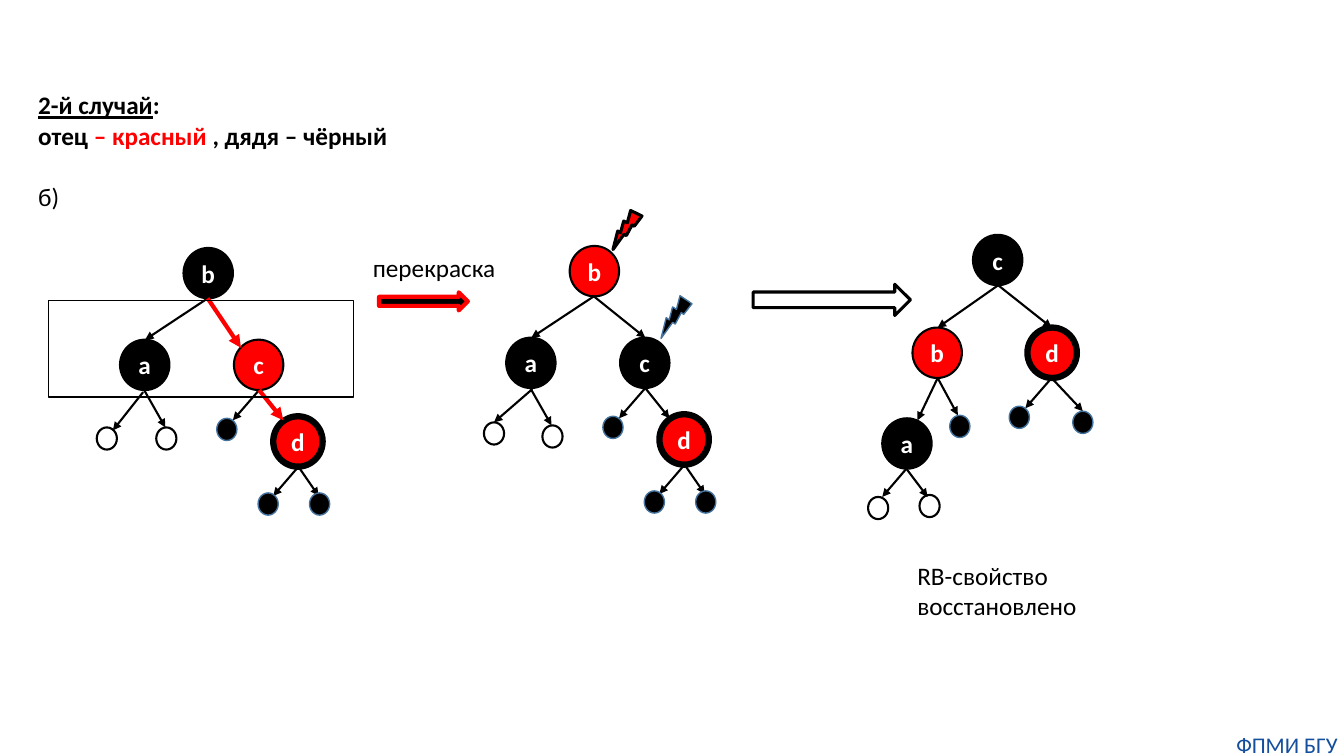
from lxml import etree
from pptx import Presentation
from pptx.dml.color import RGBColor
from pptx.enum import shapes, text
from pptx.oxml import ns
from pptx.util import Inches, Pt

BLACK = RGBColor(0x00, 0x00, 0x00)
WHITE = RGBColor(0xFF, 0xFF, 0xFF)
RED = RGBColor(0xFF, 0x00, 0x00)
STEEL = RGBColor(0x43, 0x73, 0x9E)
NAVY = RGBColor(0x14, 0x4E, 0x9D)
SHAPE = shapes.MSO_SHAPE
ALIGN = text.PP_ALIGN

NODE_WIDTH, NODE_HEIGHT = 0.49, 0.5
LEAF_WIDTH, LEAF_HEIGHT = 0.2, 0.22


class TreeSlide:
    FONT = {"name": "Calibri", "size": Pt(18)}

    def __init__(self, presentation):
        self.slide = presentation.slides.add_slide(presentation.slide_layouts[6])

    def add_run(self, paragraph, content, **formats):
        run = paragraph.add_run()
        run.text = content
        color = formats.pop("color", BLACK)
        for name, value in {**self.FONT, **formats}.items():
            setattr(run.font, name, value)
        run.font.color.rgb = color

    def text_box(self, box, paragraphs, wrap=False, align=ALIGN.LEFT, inset=None):
        """Each paragraph is a list of (text, formats) runs."""
        frame = self.slide.shapes.add_textbox(*map(Inches, box)).text_frame
        frame.word_wrap = wrap
        if inset is not None:
            for side in ("left", "top", "right", "bottom"):
                setattr(frame, f"margin_{side}", Inches(inset))
        for index, runs in enumerate(paragraphs):
            paragraph = frame.add_paragraph() if index else frame.paragraphs[0]
            paragraph.alignment = align
            for content, formats in runs:
                self.add_run(paragraph, content, **formats)
        return frame

    def shape(self, kind, box, fill=None, line=BLACK, weight=1.5, rotation=0):
        shape = self.slide.shapes.add_shape(kind, *map(Inches, box))
        shape.shadow.inherit = False
        shape.rotation = rotation
        if fill is None:
            shape.fill.background()
        else:
            shape.fill.solid()
            shape.fill.fore_color.rgb = fill
        shape.line.color.rgb = line
        shape.line.width = Pt(weight)
        return shape

    def node(self, letter, left, top, fill, weight=1.5):
        box = (left, top, NODE_WIDTH, NODE_HEIGHT)
        frame = self.shape(SHAPE.OVAL, box, fill, weight=weight).text_frame
        frame.vertical_anchor = text.MSO_ANCHOR.MIDDLE
        paragraph = frame.paragraphs[0]
        paragraph.alignment = ALIGN.CENTER
        self.add_run(paragraph, letter, bold=True, color=WHITE)

    def black_leaf(self, left, top):
        box = (left, top, LEAF_WIDTH, LEAF_HEIGHT)
        self.shape(SHAPE.OVAL, box, BLACK, STEEL, 1)

    def open_leaf(self, left, top, fill=None):
        self.shape(SHAPE.OVAL, (left, top, LEAF_WIDTH, LEAF_HEIGHT), fill)

    def edge(self, start, end, color=BLACK, weight=1.5):
        connector = self.slide.shapes.add_connector(
            shapes.MSO_CONNECTOR.STRAIGHT, *map(Inches, (*start, *end)))
        connector.line.color.rgb = color
        connector.line.width = Pt(weight)
        line = connector.line._get_or_add_ln()
        etree.SubElement(line, ns.qn("a:tailEnd"), type="triangle")
        etree.SubElement(connector._element.spPr, ns.qn("a:effectLst"))

    def unbalanced_tree(self, dx, dy, letter_a, fills, path_style, c_entry):
        """Tree b(a, c(-, d)); path_style is the colour and weight of edges b-c-d."""
        def at(x, y):
            return x + dx, y + dy

        fill_b, fill_c = fills
        self.node("b", *at(1.82, 2.46), fill_b)
        self.node(letter_a, *at(1.19, 3.37), BLACK)
        self.node("c", *at(2.32, 3.37), fill_c)
        self.node("d", *at(2.71, 4.13), RED, 4.5)
        b_foot, c_foot, d_foot = at(2.06, 2.96), at(2.57, 3.87), at(2.96, 4.63)
        self.edge(b_foot, at(1.44, 3.37))
        self.edge(b_foot, c_entry, *path_style)
        self.edge(at(1.43, 3.87), at(1.64, 4.24))
        self.edge(c_foot, at(2.31, 4.17))
        self.edge(c_foot, at(2.81, 4.17), *path_style)
        for x in (2.71, 3.16):
            self.edge(d_foot, at(x, 4.92))
        for x, y in ((3.07, 4.89), (2.15, 4.15), (2.56, 4.89)):
            self.black_leaf(*at(x, y))
        self.open_leaf(*at(1.55, 4.24))

    def balanced_tree(self):
        """Tree c(b(a, -), d)."""
        self.node("c", 9.65, 2.33, BLACK)
        self.node("b", 9.05, 3.25, RED)
        self.node("d", 10.19, 3.25, RED, 4.5)
        self.node("a", 8.75, 4.15, BLACK)
        branches = {
            (9.9, 2.83): [(9.3, 3.25), (10.43, 3.25)],
            (9.3, 3.75): [(9.1, 4.17), (9.5, 4.12)],
            (10.43, 3.75): [(10.17, 4.05), (10.74, 4.08)],
            (8.99, 4.65): [(8.75, 4.93), (9.2, 4.93)],
        }
        for foot, children in branches.items():
            for child in children:
                self.edge(foot, child)
        for left, top in ((10.01, 4.03), (9.42, 4.12), (10.64, 4.08)):
            self.black_leaf(left, top)
        for left, top in ((8.61, 4.93), (9.12, 4.91)):
            self.open_leaf(left, top)


def main():
    presentation = Presentation()
    presentation.slide_width, presentation.slide_height = Inches(13.33), Inches(7.5)
    page = TreeSlide(presentation)

    page.text_box((12.2, 7.25, 1.13, 0.27),
                  [[("ФПМИ БГУ", {"size": Pt(16), "color": NAVY})]],
                  wrap=True, align=ALIGN.CENTER, inset=0)

    page.unbalanced_tree(0, 0, "а", (BLACK, RED), (RED, 3), (2.39, 3.45))
    page.balanced_tree()
    page.text_box((9, 5.51, 1.8, 0.71),
                  [[("RB-свойство", {})], [("восстановлено", {})]])

    page.shape(SHAPE.RIGHT_ARROW, (7.47, 2.82, 1.56, 0.31), weight=2.25)
    page.shape(SHAPE.LIGHTNING_BOLT, (6.07, 2.06, 0.26, 0.41), RED,
               weight=2.25, rotation=62)
    page.shape(SHAPE.RIGHT_ARROW, (3.76, 2.9, 0.88, 0.18), BLACK, RED, 3)
    page.text_box((3.6, 2.45, 1.43, 0.4), [[("перекраска", {})]])
    page.shape(SHAPE.LIGHTNING_BOLT, (6.53, 2.92, 0.31, 0.42), BLACK, STEEL, 1, 65.9)
    page.unbalanced_tree(3.83, -0.02, "a", (RED, BLACK), (BLACK, 1.5), (6.4, 3.35))
    page.open_leaf(4.8, 4.19, WHITE)
    page.edge((5.28, 3.86), (4.9, 4.19))

    page.shape(SHAPE.RECTANGLE, (0.48, 2.98, 3.03, 0.96), weight=1)
    bold = {"bold": True}
    heading = page.text_box((0.28, 0.84, 3.76, 1.31), [
        [("2-й случай", {"bold": True, "underline": True}), (":", bold)],
        [("отец", bold), (" – красный ", {"bold": True, "color": RED}),
         (", дядя – чёрный", bold)],
        [("б)", {})],
    ], wrap=True)
    heading.paragraphs[-1].space_before = Pt(22)
    page.open_leaf(0.96, 4.24)
    page.edge((1.42, 3.89), (1.12, 4.27))

    presentation.save("out.pptx")


if __name__ == "__main__":
    main()
